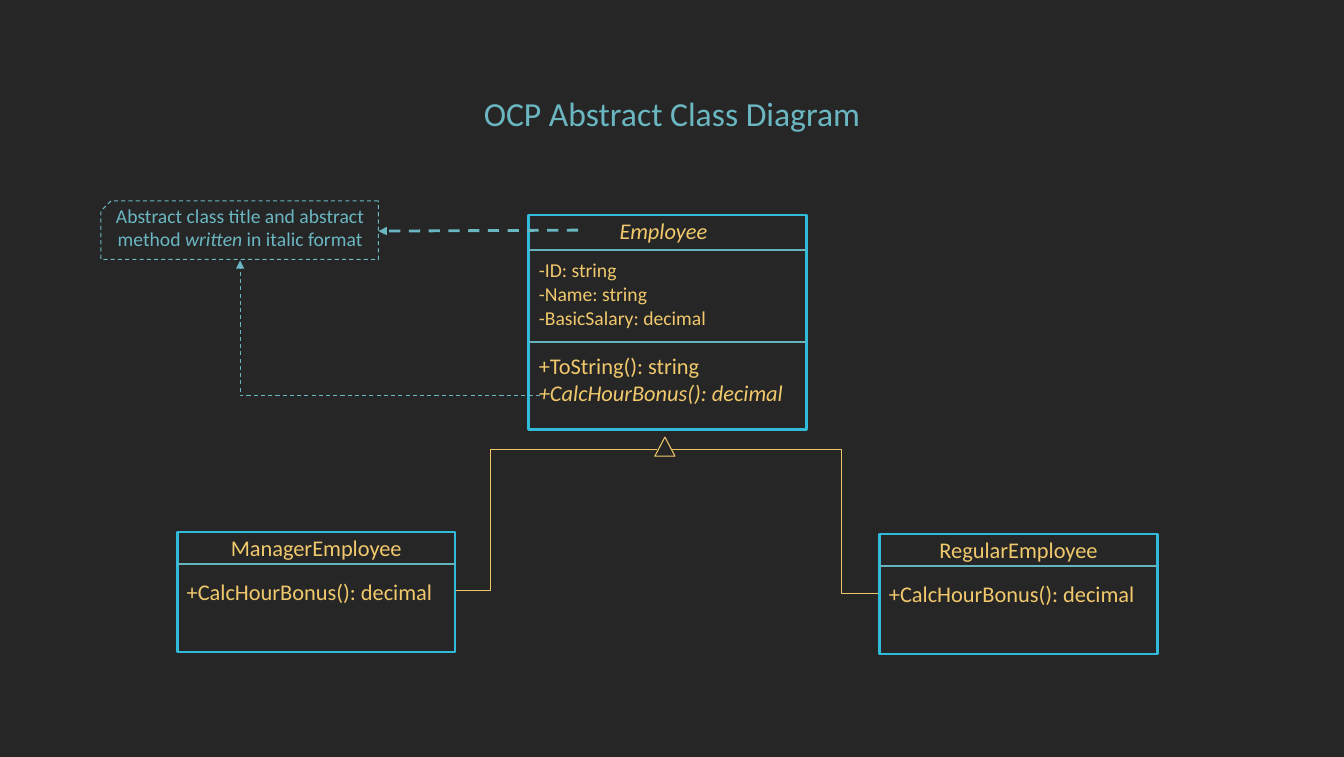
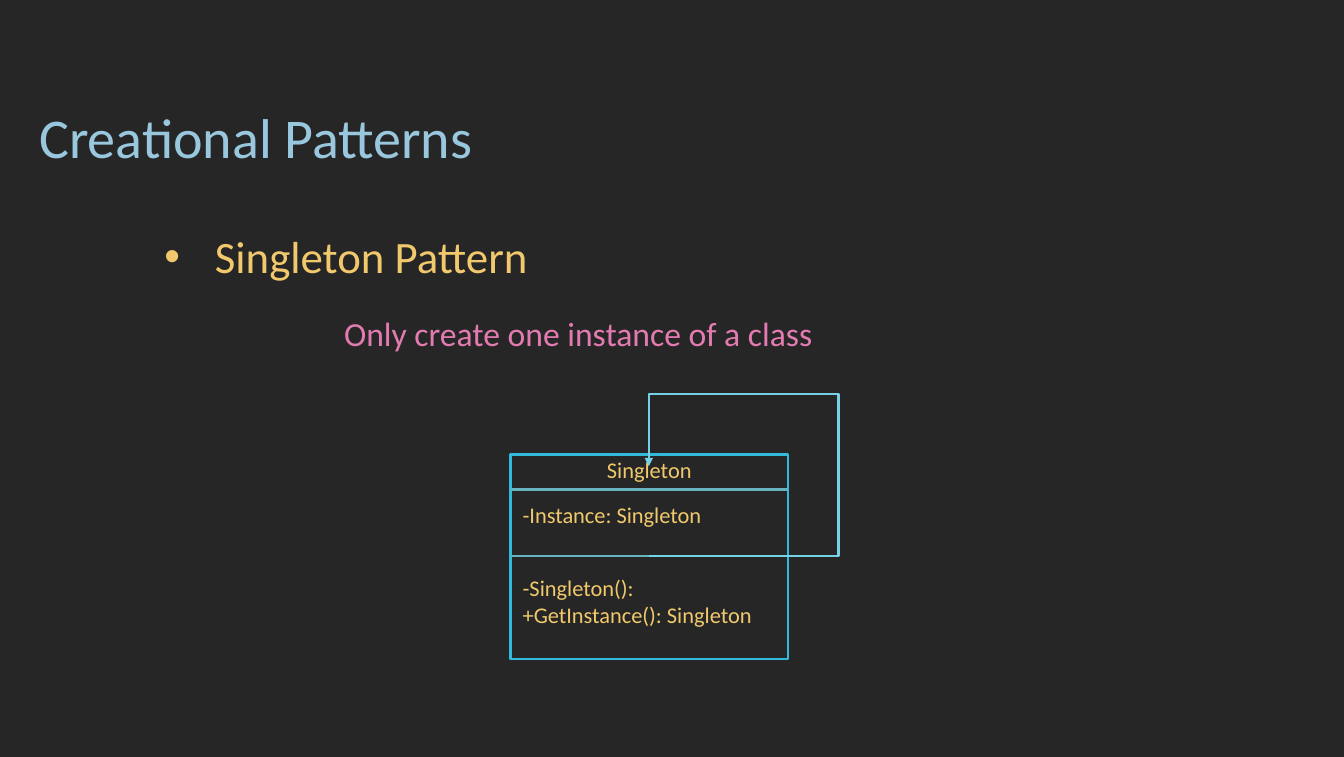
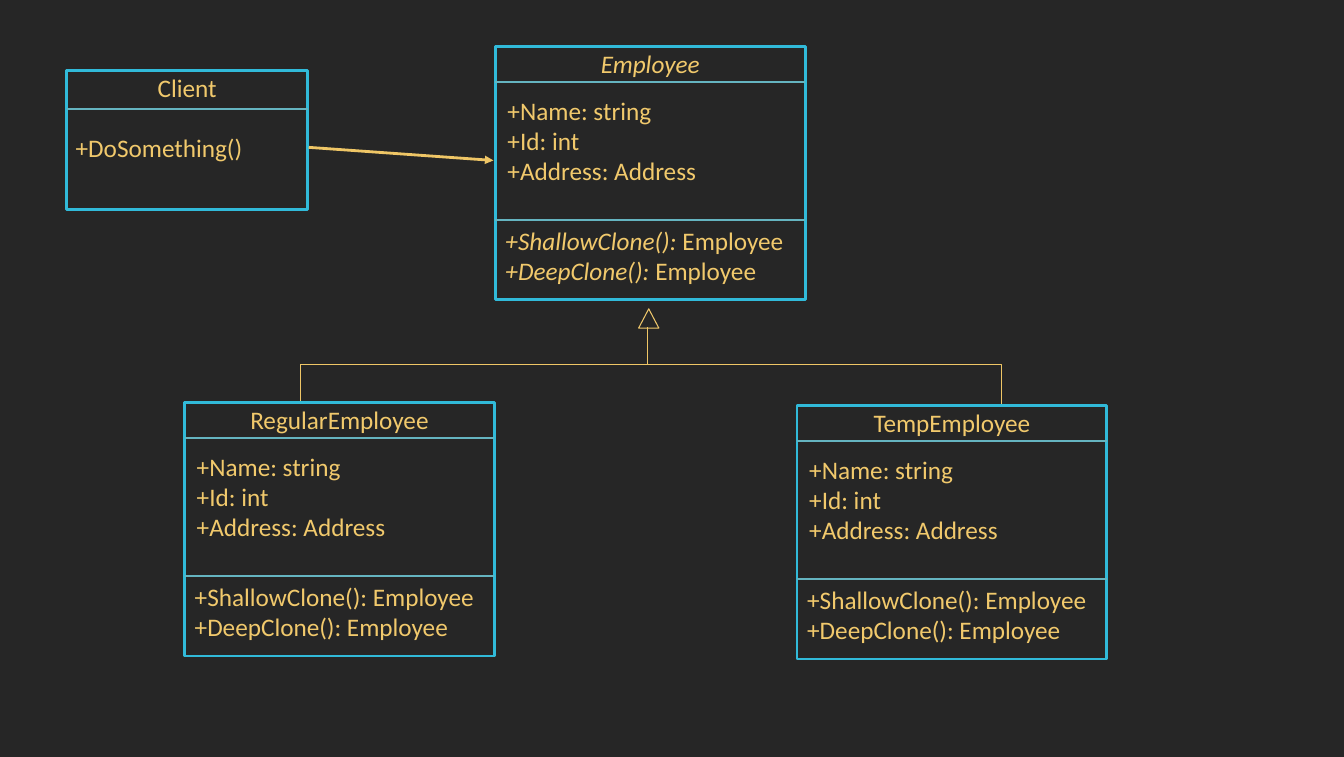
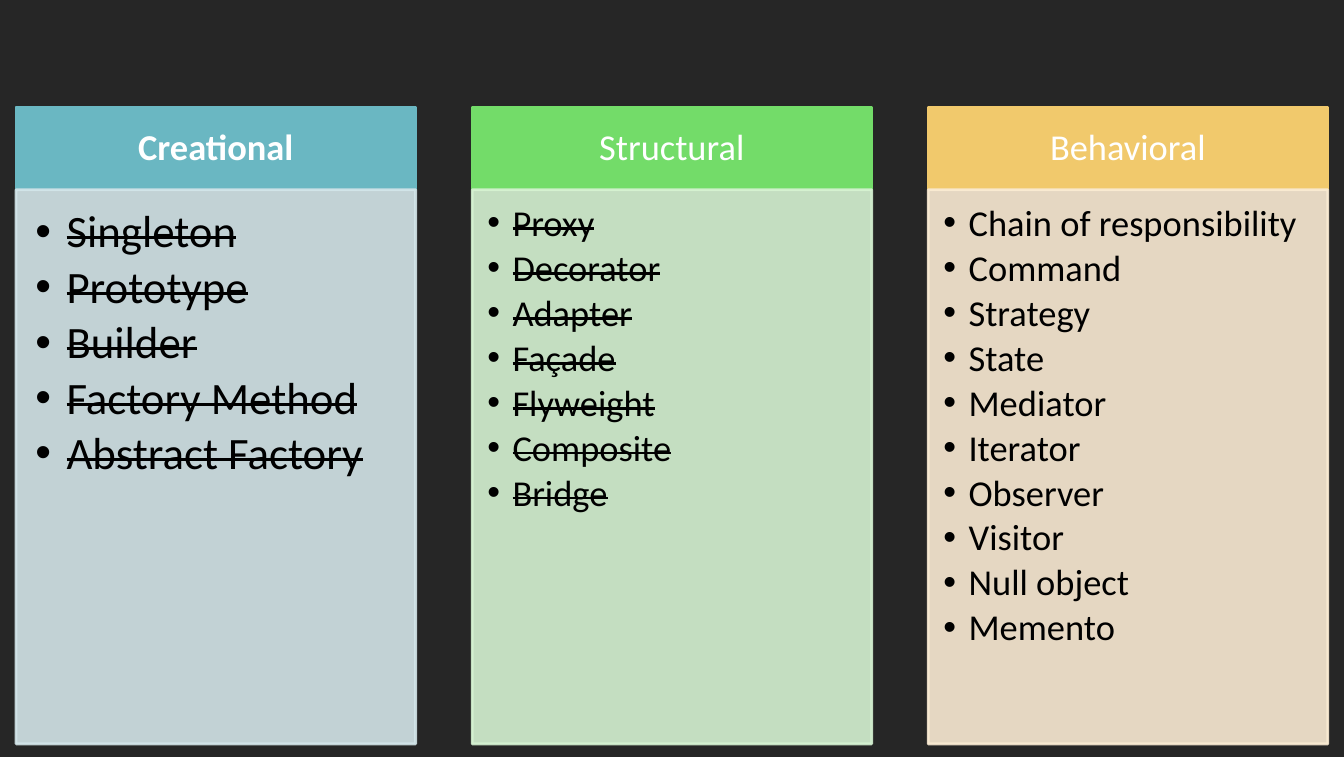
import dataclasses

import pptx
import pptx.dml.color
import pptx.enum.dml
import pptx.enum.shapes
import pptx.enum.text
import pptx.oxml.ns
import pptx.util
from lxml import etree

SHAPE = pptx.enum.shapes.MSO_SHAPE
ALIGN = pptx.enum.text.PP_ALIGN
ANCHOR = pptx.enum.text.MSO_ANCHOR
PT = pptx.util.Pt

ROWS = 75
COLS = 133.2
HIGH = pptx.util.Inches(7.5)
CELL = HIGH / ROWS


@dataclasses.dataclass(frozen=True)
class Theme:
    font: str = "Calibri"
    back: str = "262626"
    frame: str = "31BAD9"
    rule: str = "65B4C0"
    teal: str = "6AB7C2"
    gold: str = "F1C96C"
    link: str = "EFC666"
    loop: str = "75D1E6"
    sky: str = "98C7DE"
    pink: str = "E37BB1"
    green: str = "73DC69"
    white: str = "FFFFFF"
    black: str = "000000"
    pale: tuple = ("D3E5E9", "D6F2D2", "FAEBD3")
    note: int = 14
    code: int = 16
    large: int = 18
    head: int = 24
    list: int = 26
    topic: int = 32
    title: int = 40
    inset: float = 0.5
    thick: float = 2
    thin: float = 1.5


T = Theme()


def grid(*cells):
    """Turn counts of square grid cells into slide lengths."""
    return [pptx.util.Emu(round(n * CELL)) for n in cells]


def rgb(code):
    return pptx.dml.color.RGBColor.from_string(code)


def sub(node, tag, **attrs):
    return etree.SubElement(node, pptx.oxml.ns.qn(tag), attrs)


def ink(shape, color, width=0, dash=False, arrow=False):
    """Style the line of a shape or connector."""
    line = shape.line
    line.color.rgb = rgb(color)
    line.width = PT(width)
    if dash:
        line.dash_style = pptx.enum.dml.MSO_LINE.DASH
    if arrow:
        sub(shape.element.xpath(".//a:ln")[0], "a:tailEnd", type="triangle")


def box(slide, at, color, width=0, fill=None, kind=SHAPE.RECTANGLE):
    shape = slide.shapes.add_shape(kind, *grid(*at))
    shape.shadow.inherit = False
    if fill:
        shape.fill.solid()
        shape.fill.fore_color.rgb = rgb(fill)
    else:
        shape.fill.background()
    ink(shape, color, width)
    return shape


def line(slide, start, end, color, width=0, **style):
    kind = pptx.enum.shapes.MSO_CONNECTOR.STRAIGHT
    link = slide.shapes.add_connector(kind, *grid(*start, *end))
    ink(link, color, width, **style)
    sub(link.element.spPr, "a:effectLst")


def path(slide, points, color, width=0, close=False, **style):
    """Draw an unfilled outline through the points."""
    first, *rest = [grid(*point) for point in points]
    pen = slide.shapes.build_freeform(*first)
    pen.add_line_segments(rest, close=close)
    shape = pen.convert_to_shape()
    shape.shadow.inherit = False
    shape.fill.background()
    ink(shape, color, width, **style)


def write(shape, lines, size, color, align=ALIGN.LEFT, inset=T.inset, indent=0,
          space=0, pitch=None, bold=False, strike=False, anchor=ANCHOR.TOP):
    """Fill a shape with lines; *stars* mark italics, an indent adds bullets."""
    frame = shape.text_frame
    frame.word_wrap = True
    frame.vertical_anchor = anchor
    pad, hang = grid(inset, indent)
    frame.margin_left = frame.margin_right = pad
    frame.margin_top = frame.margin_bottom = pad
    for i, text in enumerate(lines):
        para = frame.add_paragraph() if i else frame.paragraphs[0]
        para.alignment = align
        if pitch:
            para.line_spacing = pitch
        if space and i:
            para.space_before = PT(space)
        if indent:
            props = para._p.get_or_add_pPr()
            props.set("marL", str(hang))
            props.set("indent", str(-hang))
            tint = sub(props, "a:buClr")
            sub(tint, "a:srgbClr", val=color)
            sub(props, "a:buFont", typeface="Arial")
            sub(props, "a:buChar", char="•")
        font = para.font
        font.name, font.size, font.bold = T.font, PT(size), bold
        font.color.rgb = rgb(color)
        for j, part in enumerate(text.split("*")):
            if part:
                run = para.add_run()
                run.text = part
                if j % 2:
                    run.font.italic = True
                if strike:
                    run._r.get_or_add_rPr().set("strike", "sngStrike")


def label(slide, at, lines, size, color=T.gold, **style):
    write(slide.shapes.add_textbox(*grid(*at)), lines, size, color, **style)


def card(slide, at, name, parts, size=T.code, shift=0):
    """Draw a class box; a part is (rule, text left, text top, lines)."""
    x, y, w, h = at
    box(slide, at, T.frame, T.thick)
    label(slide, (x + 0.5 + shift, y - 0.3, w - 1, 4), [name], size,
          align=ALIGN.CENTER)
    for rule, left, top, lines in parts:
        line(slide, (x, y + rule), (x + w, y + rule), T.rule, T.thin)
        label(slide, (x + left, y + top, w - 1, 4), lines, size)


def tip(slide, x, y):
    """Draw the hollow triangle of an inheritance link."""
    box(slide, (x, y, 2, 1.9), T.gold, kind=SHAPE.ISOSCELES_TRIANGLE)


def column(slide, at, name, fill, pale, items, size, bold, strike):
    """Draw a headed list of patterns."""
    x, y, w, head, body = at
    top = box(slide, (x, y, w, head), fill, T.thick, fill)
    write(top, [name], T.list, T.white, align=ALIGN.CENTER, inset=1.2,
          pitch=0.9, bold=bold, anchor=ANCHOR.MIDDLE)
    panel = box(slide, (x, y + head, w, body), pale, T.thick, pale)
    for tint in panel.element.spPr.xpath(".//a:srgbClr"):
        sub(tint, "a:alpha", val="90000")
    big = size > T.list
    write(panel, items, size, T.black, inset=1.9 if big else 1.5,
          indent=3.1 if big else 2.5, space=5 if big else 4, pitch=0.9,
          strike=strike)


def bonus(slide):
    label(slide, (45.5, 8.7, 42.2, 5), ["OCP Abstract Class Diagram"], T.head,
          T.teal, align=ALIGN.CENTER)
    x, y, w = 52.4, 21.3, 27.5
    card(slide, (x, y, w, 21.3), "*Employee*", [
        (12.6, 0.5, 13.1, ["+ToString(): string", "*+CalcHourBonus(): decimal*"]),
    ], shift=-0.4)
    line(slide, (x, y + 3.5), (x + w, y + 3.5), T.rule, T.thin)
    label(slide, (x + 0.5, y + 3.8, w - 1, 8),
          ["-ID: string", "-Name: string", "-BasicSalary: decimal"], T.note)
    for left, top, name in ((17.6, 52.7, "ManagerEmployee"),
                            (87.2, 52.9, "RegularEmployee")):
        card(slide, (left, top, 27.5, 11.9), name,
             [(3.15, 0.4, 4.1, ["+CalcHourBonus(): decimal"])])
    tip(slide, 64.9, 43.3)
    path(slide, [(45.2, 58.5), (48.6, 58.5), (48.6, 44.5), (65.1, 44.5)], T.link)
    path(slide, [(66.6, 44.5), (83.4, 44.5), (83.4, 58.8), (87, 58.8)], T.link)
    line(slide, (57.3, 22.8), (37.5, 22.9), T.teal, dash=True, arrow=True)
    path(slide, [(37.5, 19.9), (11, 19.9), (10, 20.9), (10, 25.7), (37.5, 25.7)],
         T.teal, close=True, dash=True)
    label(slide, (10.5, 19.7, 26.6, 6),
          ["Abstract class title and abstract method *written* in italic format"],
          T.note, T.teal, align=ALIGN.CENTER)
    path(slide, [(53.5, 39.2), (23.8, 39.2), (23.8, 25.8)], T.teal,
         dash=True, arrow=True)


def single(slide):
    label(slide, (3.4, 9.7, 54, 7.6), ["Creational Patterns"], T.title, T.sky)
    label(slide, (15.8, 21.7, 60, 6.8), ["Singleton Pattern"], T.topic,
          indent=5, pitch=PT(42))
    label(slide, (33.6, 30.5, 60, 5), ["Only create one instance of a class"],
          T.head, T.pink)
    card(slide, (50.6, 45, 27.5, 20.3), "Singleton", [
        (3.5, 0.7, 4.2, ["-Instance: Singleton"]),
        (10.1, 0.7, 11.4, ["-Singleton():", "+GetInstance(): Singleton"]),
    ])
    path(slide, [(64.3, 55.1), (83.1, 55.1), (83.1, 39), (64.3, 39), (64.3, 46.2)],
         T.loop, T.thin, arrow=True)


def clone(slide):
    fields = ["+Name: string", "+Id: int", "+Address: Address"]
    calls = ["+ShallowClone(): ", "+DeepClone(): "]
    for x, y, name, mark in ((79, 40.2, "TempEmployee", ""),
                             (49.1, 4.6, "*Employee*", "*"),
                             (18.3, 39.9, "RegularEmployee", "")):
        card(slide, (x, y, 30.7, 25.1), name, [
            (3.5, 0.7, 4.3, fields),
            (17.2, 0.5, 17.2, [f"{mark}{call}{mark}Employee" for call in calls]),
        ], T.large)
    tip(slide, 63.3, 30.6)
    path(slide, [(29.8, 39.7), (29.8, 36.1), (64.2, 36.1), (64.2, 32.4)], T.link)
    path(slide, [(64.2, 32.5), (64.2, 36.1), (99.3, 36.1), (99.3, 40)], T.link)
    card(slide, (6.6, 7, 23.9, 13.8), "Client",
         [(3.8, 0.4, 5.6, ["+DoSomething()"])], T.large)
    line(slide, (30.6, 14.6), (48.9, 15.9), T.link, arrow=True)


def kinds(slide):
    wide, edge = 39.6, 1.6
    step = (COLS - 2 * edge - wide) / 2
    groups = (
        ("Creational", T.teal, T.topic, True, True,
         ["Singleton", "Prototype", "Builder", "Factory Method",
          "Abstract Factory"]),
        ("Structural", T.green, T.list, False, True,
         ["Proxy", "Decorator", "Adapter", "Façade", "Flyweight", "Composite",
          "Bridge"]),
        ("Behavioral", T.gold, T.list, False, False,
         ["Chain of responsibility", "Command", "Strategy", "State", "Mediator",
          "Iterator", "Observer", "Visitor", "Null object", "Memento"]),
    )
    for i, (name, fill, size, bold, strike, items) in enumerate(groups):
        column(slide, (edge + i * step, 10.6, wide, 8.2, 54.9), name, fill,
               T.pale[i], items, size, bold, strike)


def main():
    deck = pptx.Presentation()
    deck.slide_width, deck.slide_height = grid(COLS, ROWS)
    fill = deck.slide_master.background.fill
    fill.solid()
    fill.fore_color.rgb = rgb(T.back)
    for draw in (bonus, single, clone, kinds):
        draw(deck.slides.add_slide(deck.slide_layouts[6]))
    deck.save("out.pptx")


if __name__ == "__main__":
    main()
